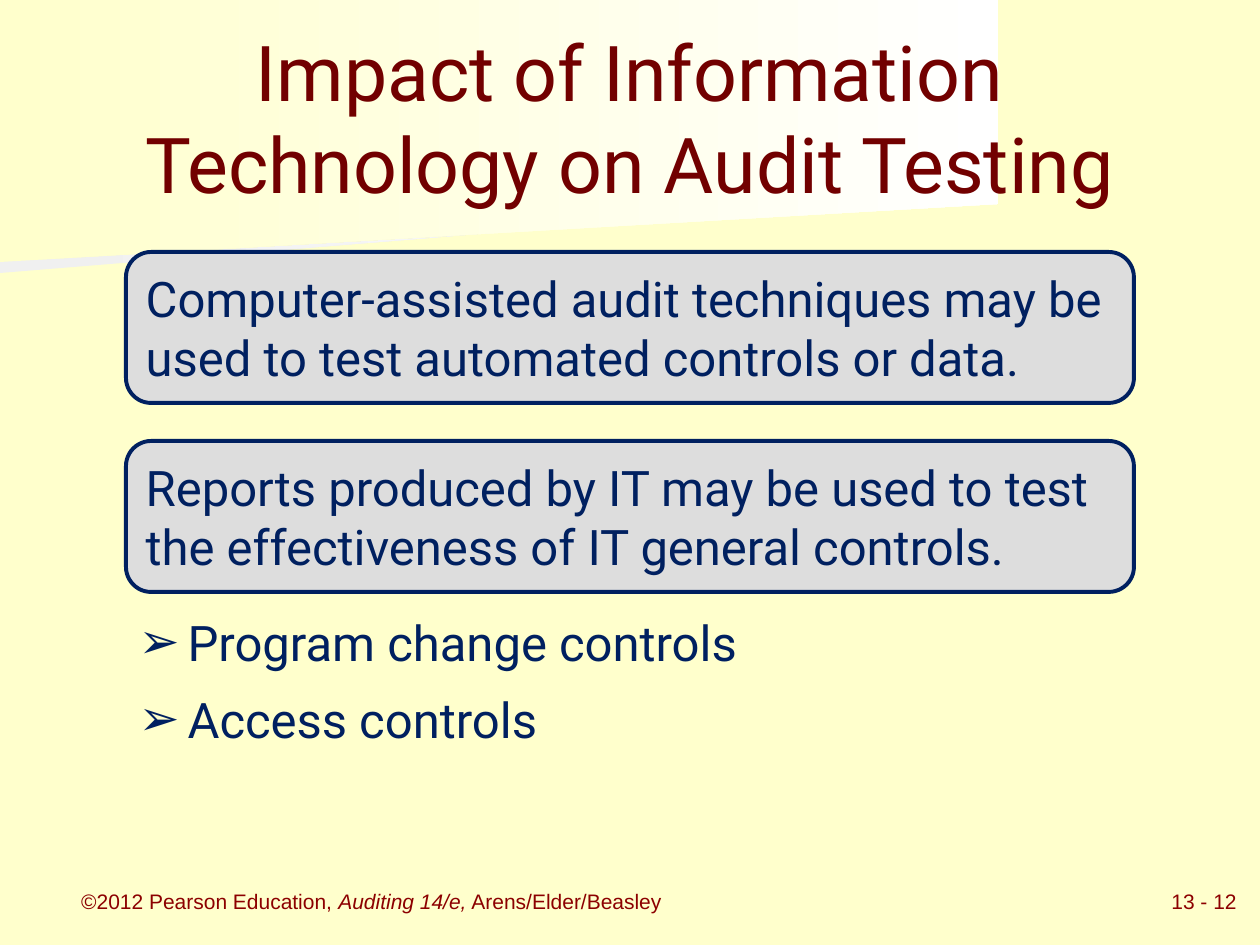
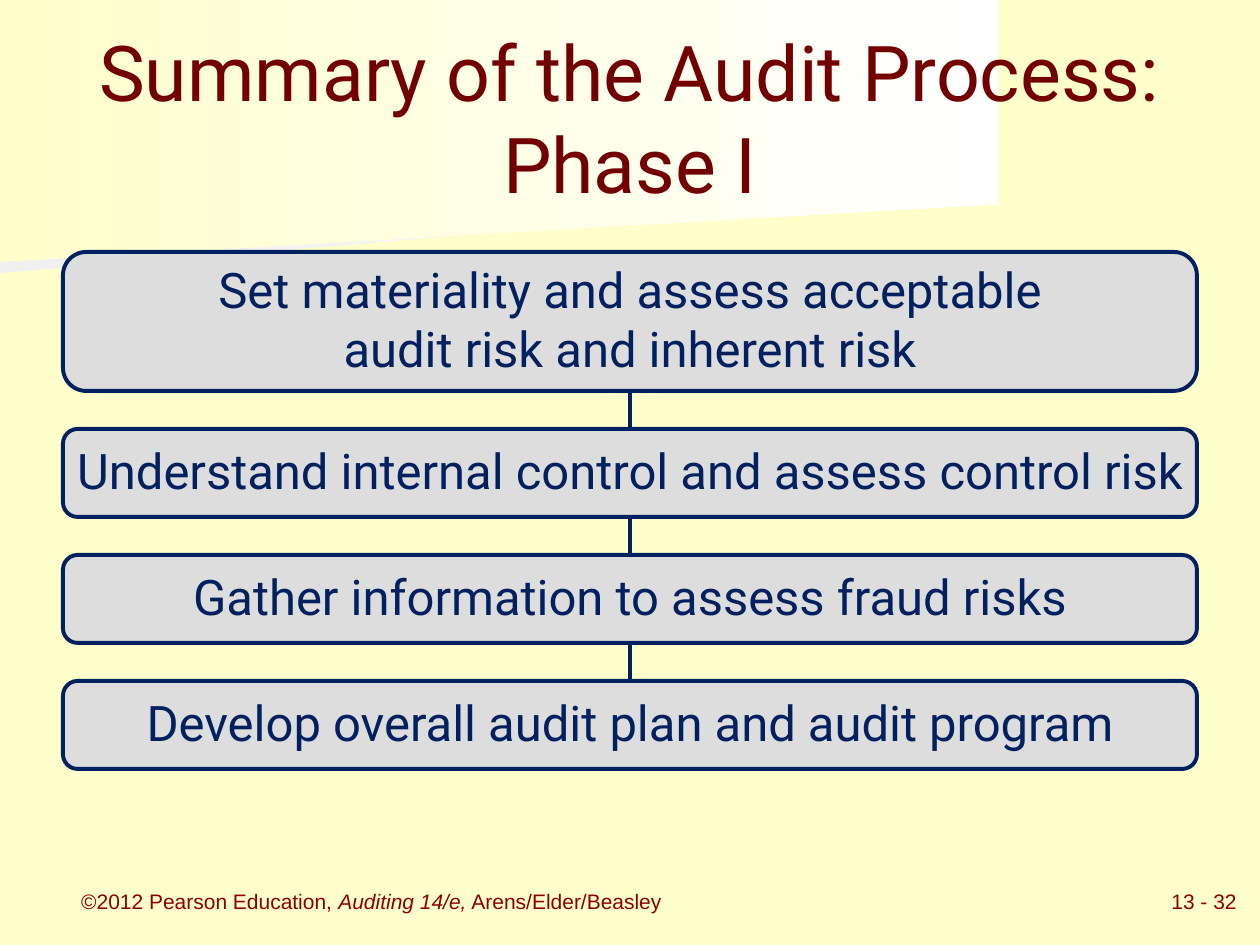
from itertools import pairwise

from lxml.etree import SubElement
from pptx import Presentation
from pptx.dml.color import RGBColor
from pptx.enum.shapes import MSO_CONNECTOR as Connector, MSO_SHAPE as Shape
from pptx.enum.text import MSO_ANCHOR as Anchor, MSO_AUTO_SIZE as AutoSize, PP_ALIGN as Align
from pptx.oxml.ns import qn
from pptx.util import Pt

PX = 914400 / 126
WIDTH, HEIGHT = 1260, 945
CREAM, WHITE, PALE_GREY, BOX_GREY = "FFFFCC", "FFFFFF", "F0F0F0", "DDDDDD"
NAVY, MAROON, FOOTER_RED = "002060", "720000", "8C0000"
HEADING_FONT, FOOTER_FONT = "Roboto", "Arial"
BANDS = (
    (PALE_GREY, [(0, 127), (982, 127), (980, 193), (0, 273)]),
    (CREAM, [(0, 0), (998, 0), (998, 204), (0, 262)]),
)


def emu(*lengths):
    return [round(length * PX) for length in lengths]


def color(hex_string):
    return RGBColor.from_string(hex_string)


def format_text(frame, size, font, hex_string, align):
    frame.vertical_anchor = Anchor.MIDDLE
    for paragraph in frame.paragraphs:
        paragraph.alignment = align
        for run in paragraph.runs:
            run.font.size = Pt(size)
            run.font.name = font
            run.font.color.rgb = color(hex_string)


def add_bands(slide):
    for start_color, points in BANDS:
        builder = slide.shapes.build_freeform(*points[0], scale=PX)
        builder.add_line_segments(points[1:], close=True)
        band = builder.convert_to_shape()
        band.shadow.inherit = False
        band.line.fill.background()
        band.fill.gradient()
        band.fill.gradient_angle = 0
        for stop, hex_string in zip(band.fill.gradient_stops, (start_color, WHITE)):
            stop.color.rgb = color(hex_string)


def place_placeholder(slide, placeholder, box):
    slide.shapes._spTree.append(placeholder._element)
    placeholder.left, placeholder.top, placeholder.width, placeholder.height = emu(*box)
    placeholder.text_frame.auto_size = AutoSize.NONE


def add_footer_text(slide, box, parts, align):
    frame = slide.shapes.add_textbox(*emu(*box)).text_frame
    frame.word_wrap = False
    for text, italic in parts:
        run = frame.paragraphs[0].add_run()
        run.text = text
        run.font.italic = italic
    format_text(frame, 12, FOOTER_FONT, FOOTER_RED, align)


def add_slide(presentation, layout_name, title_text, number):
    layout = presentation.slide_layouts.get_by_name(layout_name)
    slide = presentation.slides.add_slide(layout)
    add_bands(slide)
    credit = [("©2012 Pearson Education, ", False), ("Auditing 14/e,", True),
              (" Arens/Elder/Beasley", False)]
    add_footer_text(slide, (0, 882, 743, 38), credit, Align.CENTER)
    add_footer_text(slide, (1159, 882, 101, 38), [(f"13 - {number}", False)], Align.LEFT)
    title = slide.shapes.title
    title.text_frame.text = title_text
    place_placeholder(slide, title, (63, 38, 1134, 158))
    format_text(title.text_frame, 44, HEADING_FONT, MAROON, Align.CENTER)
    return slide


def add_box(slide, box, text, align, bottom_inset=6):
    shape = slide.shapes.add_shape(Shape.ROUNDED_RECTANGLE, *emu(*box))
    shape.shadow.inherit = False
    shape.fill.solid()
    shape.fill.fore_color.rgb = color(BOX_GREY)
    shape.line.color.rgb = color(NAVY)
    shape.line.width = Pt(2.25)
    frame = shape.text_frame
    frame.word_wrap = False
    frame.margin_bottom, = emu(bottom_inset)
    frame.text = text
    format_text(frame, 28, HEADING_FONT, NAVY, align)


def add_link(slide, x, top, bottom):
    link = slide.shapes.add_connector(Connector.STRAIGHT, *emu(x, top, x, bottom))
    link.line.color.rgb = color(NAVY)
    link.line.width = Pt(2.25)
    SubElement(link._element.spPr, qn("a:effectLst"))


def add_arrow_list(slide, box, items):
    body = slide.placeholders[1]
    place_placeholder(slide, body, box)
    frame = body.text_frame
    frame.text = "\n".join(items)
    indent, = emu(49)
    for index, paragraph in enumerate(frame.paragraphs):
        properties = paragraph._p.get_or_add_pPr()
        properties.set("marL", str(indent))
        properties.set("indent", str(-indent))
        bullet_color = SubElement(properties, qn("a:buClr"))
        SubElement(bullet_color, qn("a:srgbClr"), val=NAVY)
        SubElement(properties, qn("a:buChar"), char="➢")
        paragraph.space_before = Pt(10.4 if index else 0)
    format_text(frame, 28, HEADING_FONT, NAVY, Align.LEFT)


def add_statements(slide, box, statements, gap):
    left, top, width, height = box
    for index, statement in enumerate(statements):
        add_box(slide, (left, top + index * (height + gap), width, height), statement, Align.LEFT)


def add_process(slide, box, steps, gap):
    left, top, width, line_height = box
    spans = []
    for step in steps:
        height = line_height + 51 * step.count("\n")
        spans.append((top, top + height))
        top += height + gap
    for (_, upper_end), (lower_start, _) in pairwise(spans):
        add_link(slide, left + width / 2, upper_end, lower_start)
    for step, (start, end) in zip(steps, spans):
        add_box(slide, (left, start, width, end - start), step, Align.CENTER, bottom_inset=13)


def build_testing_slide(presentation):
    slide = add_slide(presentation, "Title and Content",
                      "Impact of Information Technology on Audit Testing", 12)
    add_statements(slide, (126, 252, 1008, 151), [
        "Computer-assisted audit techniques may be\nused to test automated controls or data.",
        "Reports produced by IT may be used to test\nthe effectiveness of IT general controls.",
    ], gap=38)
    add_arrow_list(slide, (126, 605, 1008, 151), ["Program change controls", "Access controls"])


def build_phase_slide(presentation):
    slide = add_slide(presentation, "Title Only", "Summary of the Audit Process: Phase I", 32)
    add_process(slide, (63, 252, 1134, 88), [
        "Set materiality and assess acceptable\naudit risk and inherent risk",
        "Understand internal control and assess control risk",
        "Gather information to assess fraud risks",
        "Develop overall audit plan and audit program",
    ], gap=38)


def main():
    presentation = Presentation()
    presentation.slide_width, presentation.slide_height = emu(WIDTH, HEIGHT)
    background = presentation.slide_master.background.fill
    background.solid()
    background.fore_color.rgb = color(CREAM)
    build_testing_slide(presentation)
    build_phase_slide(presentation)
    presentation.save("out.pptx")


if __name__ == "__main__":
    main()
